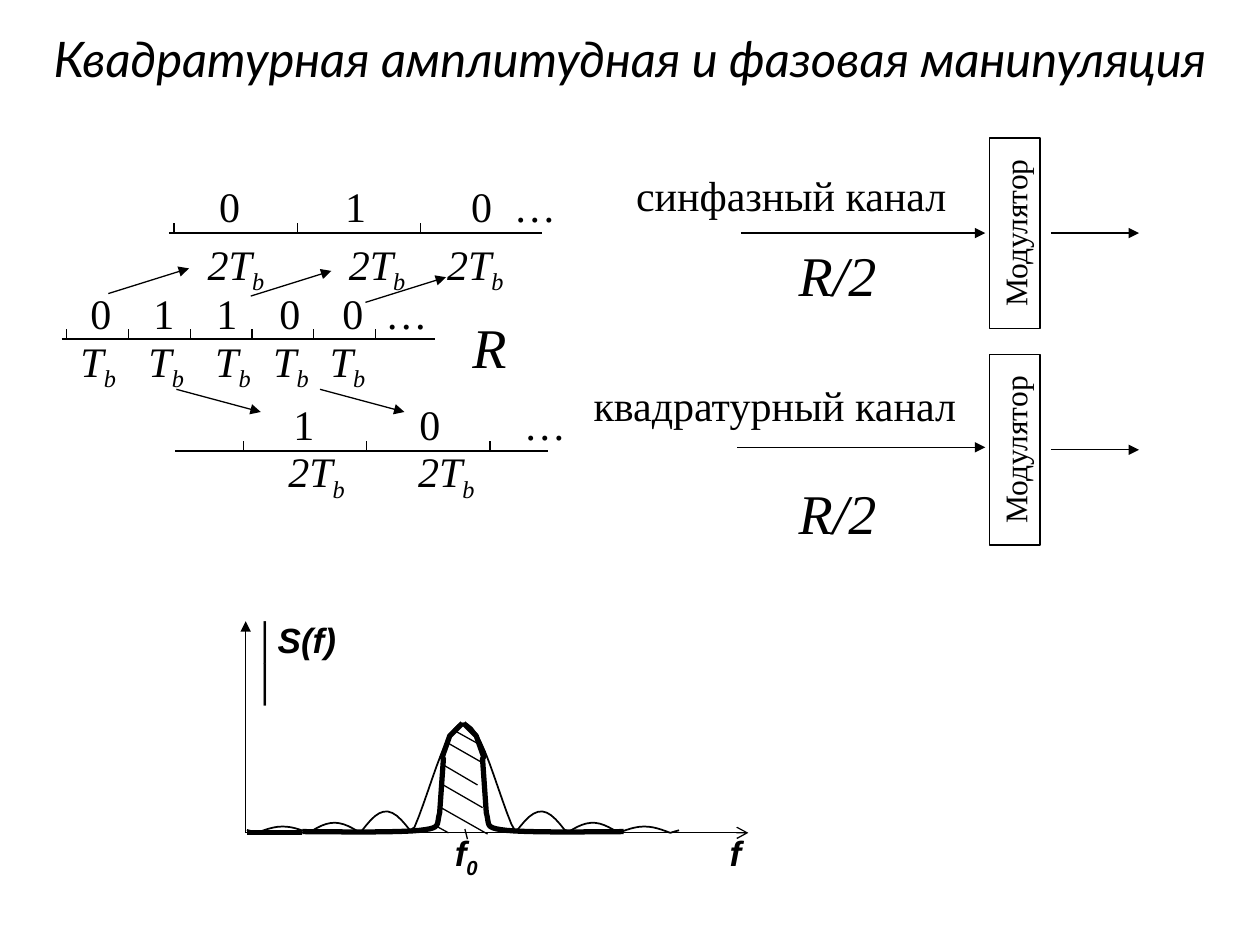
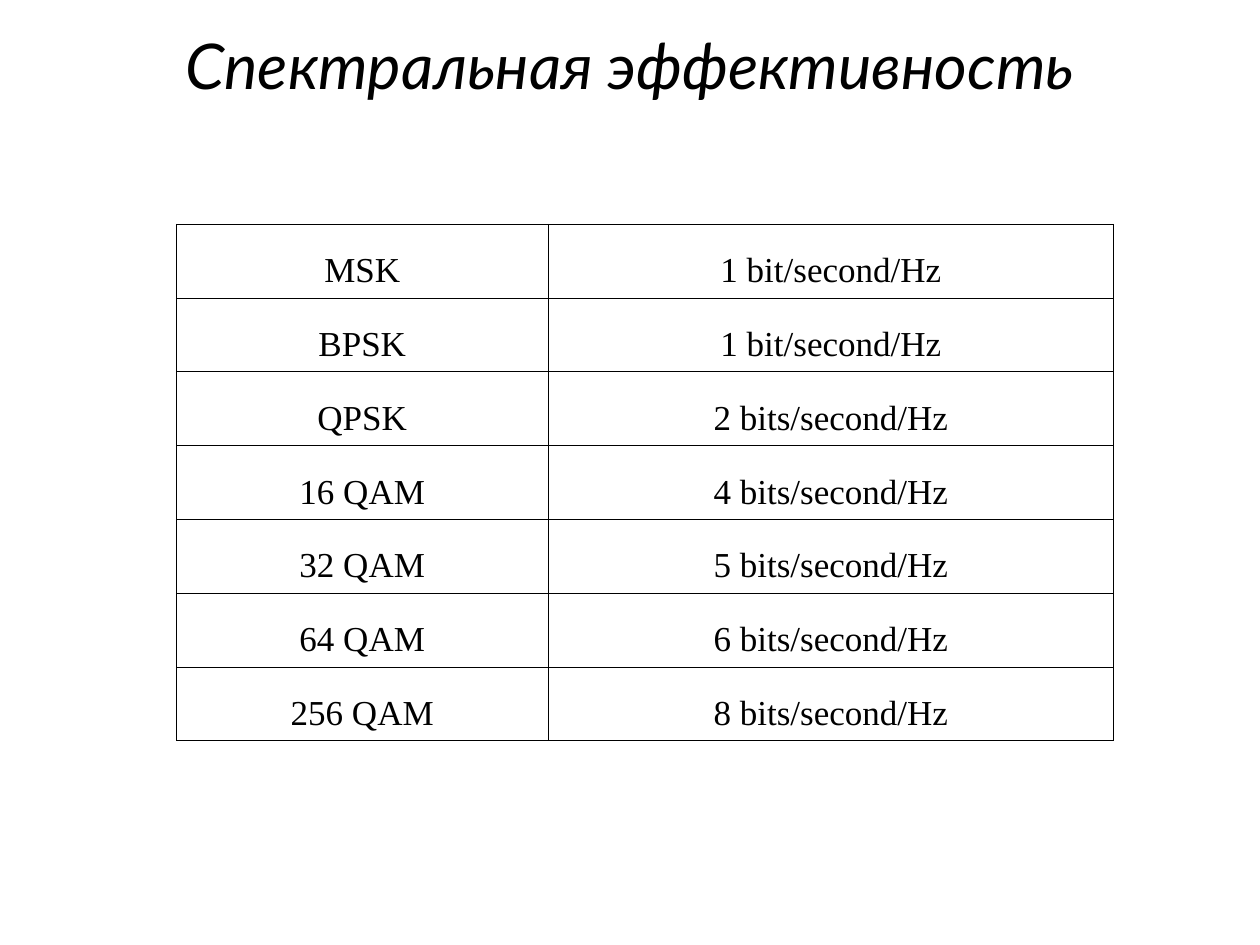
import math
from lxml import etree
from pptx import Presentation
from pptx.dml.color import RGBColor
from pptx.enum import shapes, text as txt
from pptx.oxml import ns
from pptx.util import Inches, Pt

WIDE, HIGH = Inches(10), Inches(7.5)
COLS = 10                       # square grid: 10 columns by 7.5 rows
INK = RGBColor(0, 0, 0)
SERIF, SANS, HEAD = "Times New Roman", "Arial", "Lato"
LEFT, MID = txt.PP_ALIGN.LEFT, txt.PP_ALIGN.CENTER
THIN, BOLD = 0.75, 3

BASE = 6.61                     # frequency axis
PEAK = 3.68                     # carrier
LOBE = 0.41                     # distance between zeros of the spectrum
TOP = 0.87                      # height of the main lobe
SIDES = (0.17, 0.08, 0.05, 0.04)

RATES = (("MSK", "1 bit/second/Hz"), ("BPSK", "1 bit/second/Hz"),
         ("QPSK", "2 bits/second/Hz"), ("16 QAM", "4 bits/second/Hz"),
         ("32 QAM", "5 bits/second/Hz"), ("64 QAM", "6 bits/second/Hz"),
         ("256 QAM", "8 bits/second/Hz"))


def grid(*nums):
    return [round(n * WIDE / COLS) for n in nums]


def node(parent, tag, **attrs):
    return etree.SubElement(parent, ns.qn(tag), attrs)


def split(text):
    """Yield (piece, is subscript); the letter after "_" is a subscript."""
    first, *rest = text.split("_")
    yield first, False
    for bit in rest:
        yield bit[0], True
        yield bit[1:], False


def write(frame, text, size=24, font=SERIF, bold=False, italic=False,
          align=LEFT, lines=None, tabs=(), pad=(0.1, 0.05), wrap=True):
    """Fill a frame; text is a string or a list of (string, italic)."""
    frame.word_wrap = wrap
    frame.auto_size = txt.MSO_AUTO_SIZE.NONE
    frame.vertical_anchor = txt.MSO_ANCHOR.TOP
    frame.margin_left = frame.margin_right = Inches(pad[0])
    frame.margin_top = frame.margin_bottom = Inches(pad[1])
    para = frame.paragraphs[0]
    para.alignment = align
    if lines:
        para.line_spacing = lines
    if tabs:
        stops = node(para._p.get_or_add_pPr(), "a:tabLst")
        for stop in tabs:
            node(stops, "a:tab", pos=str(grid(stop)[0]), algn="l")
    parts = [(text, italic)] if isinstance(text, str) else text
    for part, slant in parts:
        for bit, sub in split(part):
            if not bit:
                continue
            run = para.add_run()
            run.text = bit
            run.font.size, run.font.name = Pt(size), font
            run.font.bold, run.font.italic = bold, slant
            run.font.color.rgb = INK
            if sub:
                run._r.get_or_add_rPr().set("baseline", "-25000")


def label(slide, box, text, **style):
    write(slide.shapes.add_textbox(*grid(*box)).text_frame, text, **style)


def line(slide, x1, y1, x2, y2, width=THIN, tip=None):
    link = slide.shapes.add_connector(
        shapes.MSO_CONNECTOR.STRAIGHT, *grid(x1, y1, x2, y2))
    link.line.color.rgb = INK
    link.line.width = Pt(width)
    if tip:
        node(link.line._get_or_add_ln(), "a:tailEnd", type=tip)
    node(link._element.spPr, "a:effectLst")


def arrow(slide, *ends):
    line(slide, *ends, tip="triangle")


def curve(slide, points, width):
    spots = [grid(*p) for p in points]
    pen = slide.shapes.build_freeform(*spots[0])
    pen.add_line_segments(spots[1:], close=False)
    form = pen.convert_to_shape()
    form.shadow.inherit = False
    form.fill.background()
    form.line.color.rgb = INK
    form.line.width = Pt(width)


def bend(*knots, steps=10):
    """Points of a cubic Bezier segment."""
    for i in range(steps + 1):
        t = i / steps
        mix = ((1 - t) ** 3, 3 * t * (1 - t) ** 2, 3 * t * t * (1 - t), t ** 3)
        yield tuple(sum(m * k[a] for m, k in zip(mix, knots)) for a in (0, 1))


def scale(slide, x, y, first, step, count):
    """Time axis with evenly spaced ticks."""
    line(slide, x, y, x + 2.96, y)
    for i in range(count):
        at = first + i * step
        line(slide, at, y, at, y - 0.08)


def title(deck, text, size):
    slide = deck.slides.add_slide(deck.slide_layouts[5])
    head = slide.shapes.title
    head.left, head.top, head.width, head.height = grid(0.15, 0.25, 9.7, 0.6)
    write(head.text_frame, text, size=size, font=HEAD, italic=True,
          align=MID, lines=0.85)
    return slide


def bits(slide):
    """Input stream and the two streams of doubled bits."""
    scale(slide, 0.49, 2.69, 0.53, 0.49, 6)
    scale(slide, 1.34, 1.85, 1.38, 0.98, 3)
    scale(slide, 1.39, 3.58, 1.93, 0.98, 3)
    rows = (
        (0.62, 2.23, "0\t1\t1\t0\t0\t…", (0.5, 1, 1.5, 2, 2.34)),
        (1.47, 1.38, "\t0\t1\t0\t…", (0.17, 1.17, 2.17, 2.51)),
        (1.73, 3.11, "\t1\t0\t…", (0.5, 1.5, 2.33)))
    for x, y, text, tabs in rows:
        label(slide, (x, y, 3.2, 0.5), text, tabs=tabs)
    spans = (
        (0.54, 2.61, "T_b\tT_b\tT_b\tT_b\tT_b", (0.54, 1.07, 1.53, 1.98)),
        (1.38, 1.84, "\t2T_b\t2T_b\t2T_b", (0.17, 1.29, 2.07)),
        (1.44, 3.49, "\t2T_b\t2T_b", (0.75, 1.78)))
    for x, y, text, tabs in spans:
        label(slide, (x, y, 3.16, 0.56), text, tabs=tabs, italic=True)
    for x, y in ((0.86, 2.33), (1.99, 2.35), (2.9, 2.4)):
        arrow(slide, x, y, x + 0.64, y - 0.2)
    for x in (1.4, 2.54):
        arrow(slide, x, 3.09, x + 0.67, 3.27)
    label(slide, (3.65, 2.43, 1.04, 0.64), "R", size=32, italic=True)


def branch(slide, name, left, top, start, feed, out, rate):
    """One channel: caption, arrows, rate and modulator."""
    label(slide, (left, top, 3.78, 0.5), name, align=MID)
    label(slide, (6.24, rate, 1.03, 0.64), "R/2", size=32, italic=True)
    arrow(slide, start, feed, 7.82, feed)
    arrow(slide, 8.34, out, 9.04, out)
    box = slide.shapes.add_shape(
        shapes.MSO_SHAPE.RECTANGLE, *grid(7.3, out - 0.2, 1.51, 0.4))
    box.rotation = 270
    box.shadow.inherit = False
    box.fill.background()
    box.line.color.rgb = INK
    box.line.width = Pt(THIN)
    write(box.text_frame, "Модулятор", size=18, align=MID)


def level(x):
    """Height of the unfiltered spectrum at x."""
    u = abs(x - PEAK) / LOBE
    wave = abs(math.sin(math.pi * u))
    if u < 1:
        return TOP * wave / (math.pi * u) if u else TOP
    return SIDES[min(int(u), len(SIDES)) - 1] * wave


def graph(slide):
    line(slide, 1.95, BASE, 5.94, BASE, tip="arrow")
    arrow(slide, 1.95, BASE, 1.95, 4.93)
    xs = [1.96 + 0.035 * i for i in range(99)]
    curve(slide, [(x, BASE - level(x)) for x in xs], 1)

    edge = [*bend((2.4, 6.6), (2.55, 6.6), (3.14, 6.61), (3.33, 6.59)),
            *bend((3.33, 6.59), (3.51, 6.57), (3.46, 6.55), (3.49, 6.45)),
            (3.52, 6.02), (3.51, 6.01), (3.57, 5.84), (3.67, 5.74)]
    curve(slide, edge, BOLD)
    curve(slide, [(7.35 - x, y) for x, y in edge], BOLD)
    line(slide, 2.4, BASE, 1.96, BASE, BOLD)

    hatch = ((3.61, 5.8, 3.79, 5.9), (3.56, 5.9, 3.84, 6.06),
             (3.5, 6.06, 3.79, 6.23), (3.5, 6.22, 3.83, 6.41),
             (3.5, 6.41, 3.87, 6.62), (3.45, 6.55, 3.56, 6.61))
    for ends in hatch:
        line(slide, *ends)
    line(slide, 3.69, 6.58, 3.71, 6.66)

    style = dict(size=20, font=SANS, bold=True, pad=(0, 0))
    label(slide, (2.03, 4.91, 0.67, 0.33),
          [("│", False), ("S(f)", True), ("│", False)], **style)
    label(slide, (3.61, 6.6, 0.32, 0.38), "f_0", italic=True, **style)
    label(slide, (5.79, 6.6, 0.09, 0.33), "f", italic=True, wrap=False, **style)


def frame(cell):
    """Thin border on all four sides of a cell."""
    props = cell._tc.get_or_add_tcPr()
    for side in ("a:lnL", "a:lnR", "a:lnT", "a:lnB"):
        edge = node(props, side, w=str(Pt(0.45)))
        node(node(edge, "a:solidFill"), "a:srgbClr", val=str(INK))
    cell.fill.background()


def table(slide, rows):
    grid_box = grid(1.4, 1.78, 7.44, 4.1)
    tab = slide.shapes.add_table(len(rows), 2, *grid_box).table
    tab.first_row = tab.horz_banding = False
    tab.columns[0].width, tab.columns[1].width = grid(2.95, 4.49)
    for r, row in enumerate(rows):
        for c, value in enumerate(row):
            cell = tab.cell(r, c)
            write(cell.text_frame, value, size=20, align=MID, lines=1.5)
            cell.margin_left = cell.margin_right = Inches(0.08)
            cell.margin_top = cell.margin_bottom = Inches(0.05)
            cell.vertical_anchor = txt.MSO_ANCHOR.MIDDLE
            frame(cell)


def main():
    deck = Presentation()
    deck.slide_width, deck.slide_height = WIDE, HIGH

    slide = title(deck, "Квадратурная амплитудная и фазовая манипуляция", 28)
    bits(slide)
    branch(slide, "синфазный канал", 4.39, 1.3, 5.88, 1.85, 1.85, 1.86)
    branch(slide, "квадратурный канал", 4.26, 2.96, 5.85, 3.55, 3.57, 3.75)
    graph(slide)

    table(title(deck, "Спектральная эффективность", 36), RATES)
    deck.save("out.pptx")


if __name__ == "__main__":
    main()
